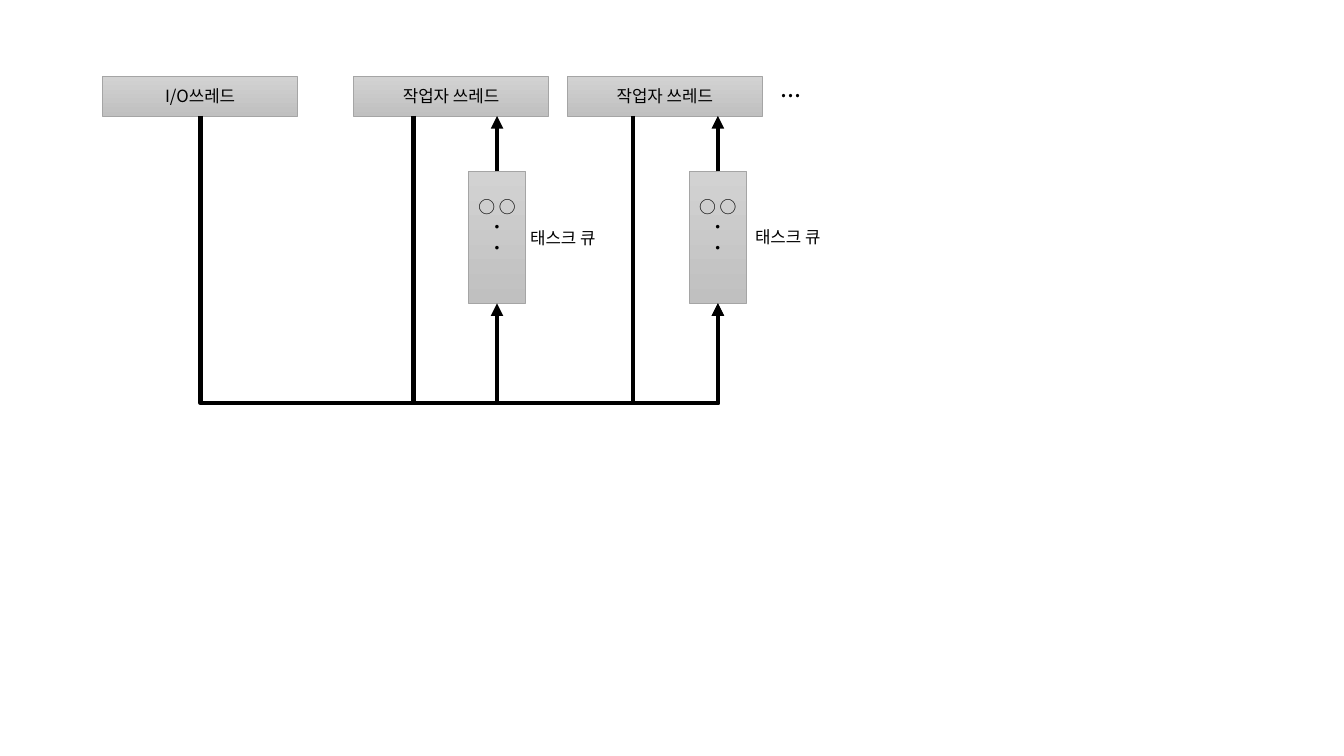
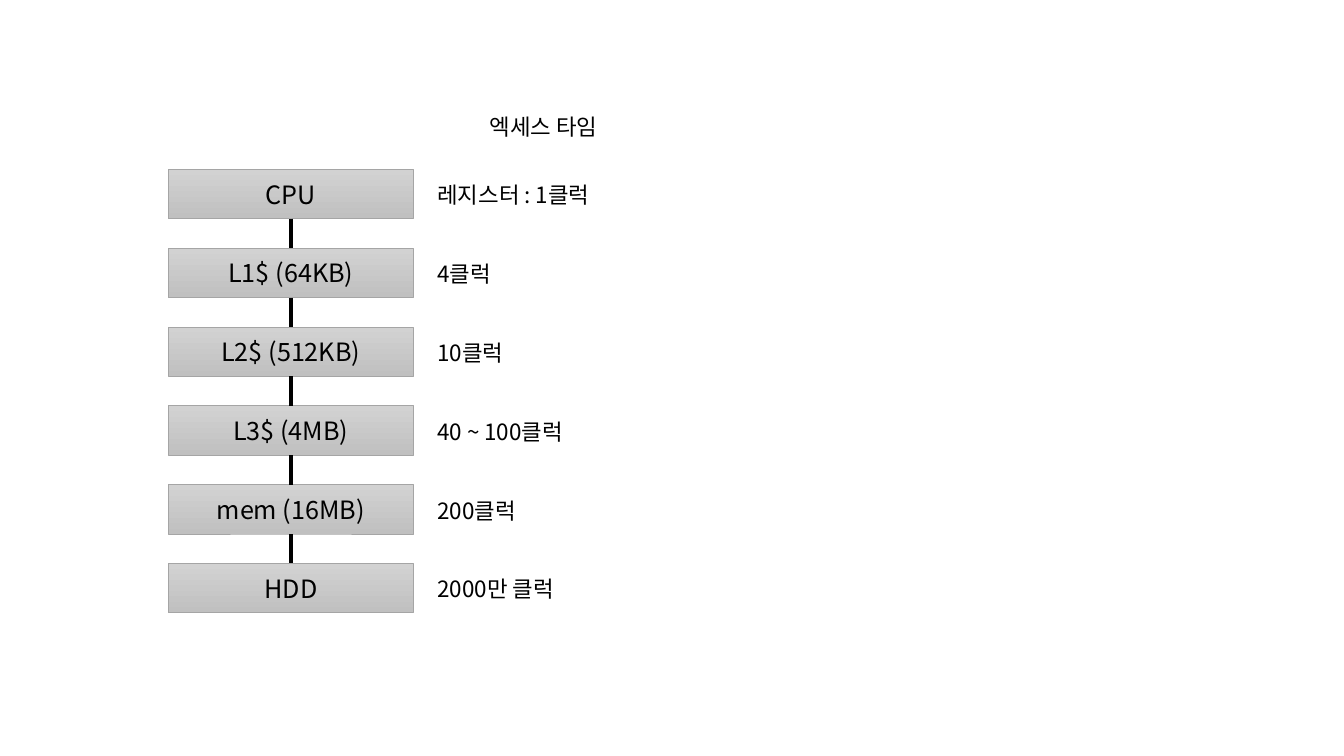
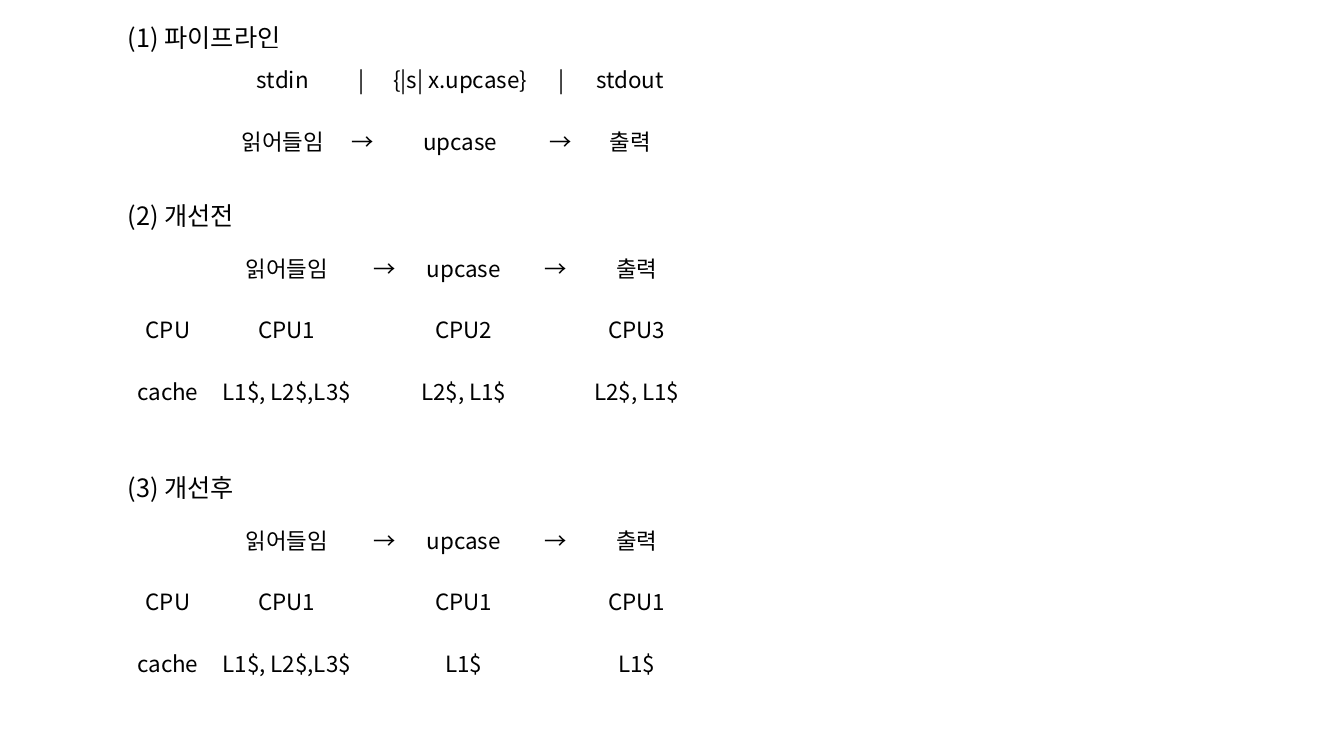
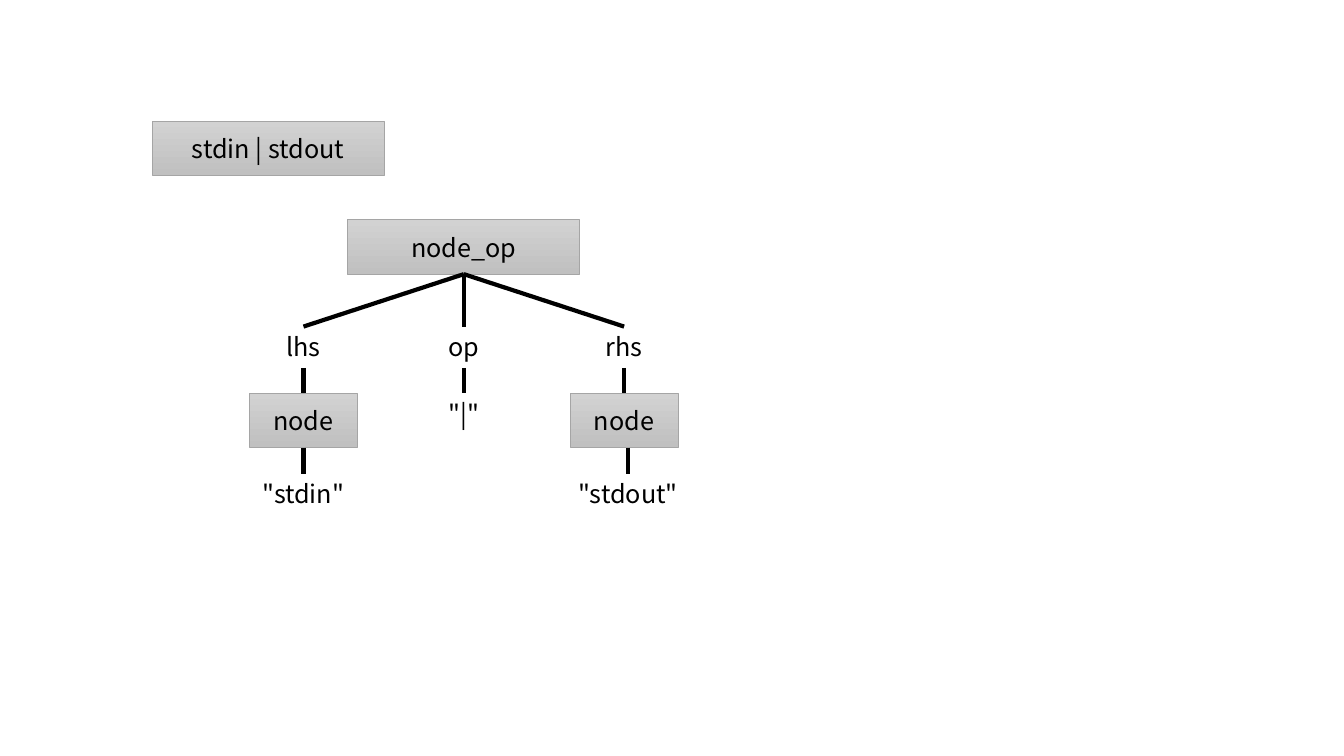
from lxml.etree import SubElement
from pptx import Presentation
from pptx.dml.color import RGBColor
from pptx.enum.shapes import MSO_CONNECTOR as CONN, MSO_SHAPE as SHAPE
from pptx.enum.text import MSO_ANCHOR as ANCHOR, MSO_AUTO_SIZE as AUTO, PP_ALIGN as ALIGN
from pptx.oxml.ns import qn
from pptx.util import Inches, Pt

COLORS = {"text": "000000", "wire": "000000", "edge": "A5A5A5",
          "box_top": "D2D2D2", "box_bottom": "C0C0C0"}
FONT = "Noto Sans CJK KR"
WIRE = 3


def rgb(name):
    """Return a palette colour."""
    return RGBColor.from_string(COLORS[name])


def write(tf, text, size, align):
    """Write the lines of text into a frame in the shared font."""
    tf.text = text
    for p in tf.paragraphs:
        p.alignment = align
        p.font.size, p.font.name = Pt(size), FONT
        p.font.color.rgb = rgb("text")
        props = p._p.get_or_add_pPr().find(qn("a:defRPr"))
        SubElement(props, qn("a:ea")).set("typeface", FONT)


def add_box(slide, left, top, width, height, text, size=18):
    """Add a grey gradient box with centred text."""
    sp = slide.shapes.add_shape(SHAPE.RECTANGLE, *map(Inches, (left, top, width, height)))
    sp.shadow.inherit = False
    sp.fill.gradient()
    sp.fill.gradient_angle = 270
    for stop, name in zip(sp.fill.gradient_stops, ("box_top", "box_bottom")):
        stop.color.rgb = rgb(name)
    sp.line.color.rgb, sp.line.width = rgb("edge"), Pt(0.5)
    sp.text_frame.vertical_anchor = ANCHOR.MIDDLE
    write(sp.text_frame, text, size, ALIGN.CENTER)
    return sp


def add_label(slide, left, top, width, height, text, size=18, align=ALIGN.LEFT):
    """Add a plain text label."""
    tf = slide.shapes.add_textbox(*map(Inches, (left, top, width, height))).text_frame
    tf.word_wrap, tf.auto_size = True, AUTO.SHAPE_TO_FIT_TEXT
    write(tf, text, size, align)


def add_wire(slide, x1, y1, x2, y2, arrow=False, kind=CONN.STRAIGHT):
    """Add a thick line, with an arrowhead at its end if wanted."""
    cxn = slide.shapes.add_connector(kind, *map(Inches, (x1, y1, x2, y2)))
    cxn.line.color.rgb, cxn.line.width = rgb("wire"), Pt(WIRE)
    props = cxn._element.spPr
    if arrow:
        SubElement(props.find(qn("a:ln")), qn("a:tailEnd")).set("type", "triangle")
    SubElement(props, qn("a:effectLst"))
    return cxn


def add_route(slide, x1, y1, x2, y2, bus):
    """Add an arrow that drops to the bus level and rises to its end."""
    mid_x, mid_y, across, down = (x1 + x2) / 2, (y1 + y2) / 2, x2 - x1, y2 - y1
    cxn = add_wire(slide, mid_x - down / 2, mid_y - across / 2,
                   mid_x + down / 2, mid_y + across / 2, True, CONN.ELBOW)
    props = cxn._element.spPr
    xfrm = props.find(qn("a:xfrm"))
    xfrm.set("rot", str(270 * 60000))
    xfrm.set("flipH", "1")
    bend = SubElement(props.find(qn("a:prstGeom")).find(qn("a:avLst")), qn("a:gd"))
    bend.set("name", "adj1")
    bend.set("fmla", f"val {round((bus - y1) / down * 100000)}")


def add_thread(slide, left, top, text):
    """Add a thread box."""
    add_box(slide, left, top, 1.93, 0.39, text, 12)


def add_queue(slide, center, top, thread_bottom, label_left, label_top):
    """Add a task queue with its label and the arrow up to its thread."""
    tf = add_box(slide, center - 0.285, top, 0.57, 1.31, "○ ○\n・\n・", 12).text_frame
    tf.margin_bottom = Inches(0.25)
    add_label(slide, label_left, label_top, 1.37, 0.3, "태스크 큐", 12)
    add_wire(slide, center, top, center, thread_bottom, True)


def threads_slide(slide, left=1.02, top=0.76):
    """Show threads that feed the task queues of the workers."""
    bottom, queue_top, bus = top + 0.39, top + 0.94, top + 3.24
    queue_bottom = queue_top + 1.31
    io, worker1, worker2 = left + 0.97, left + 3.08, left + 5.26
    queue1, queue2 = left + 3.91, left + 6.1
    for offset, text in ((0, "I/O쓰레드"), (2.49, "작업자 쓰레드"), (4.61, "작업자 쓰레드")):
        add_thread(slide, left + offset, top, text)
    add_label(slide, left + 6.62, top - 0.09, 0.61, 0.4, "...")
    add_queue(slide, queue1, queue_top, bottom, left + 4.14, top + 1.45)
    add_queue(slide, queue2, queue_top, bottom, left + 6.37, top + 1.44)
    for start, end in ((io, queue1), (worker1, queue2), (worker2, queue2)):
        add_route(slide, start, bottom, end, queue_bottom, bus)


def memory_slide(slide, left=1.67, top=1.68):
    """Show the memory levels with their access times."""
    levels = [("CPU", "레지스터 : 1클럭"), ("L1$ (64KB)", "4클럭"),
              ("L2$ (512KB)", "10클럭"), ("L3$ (4MB)", "40 ~ 100클럭"),
              ("mem (16MB)", "200클럭"), ("HDD", "2000만 클럭")]
    width, height, pitch = 2.43, 0.49, 3.91 / 5
    center, times = left + width / 2, left + 2.57
    add_label(slide, times, top - 0.61, 2.3, 0.37, "엑세스 타임", 16, ALIGN.CENTER)
    for i, (level, time) in enumerate(levels):
        y = top + i * pitch
        add_box(slide, left, y, width, height, level)
        add_label(slide, times, y + 0.07, 2.3, 0.37, time, 16)
        if i:
            add_wire(slide, center, y - pitch + height, center, y)


def add_grid(slide, left, top, widths, rows):
    """Add a table without fills that holds centred text."""
    height = 0.61
    table = slide.shapes.add_table(len(rows), len(widths), *map(
        Inches, (left, top, sum(widths), height * len(rows)))).table
    table.first_row = table.horz_banding = False
    for column, width in zip(table.columns, widths):
        column.width = Inches(width)
    for r, row in enumerate(rows):
        table.rows[r].height = Inches(height)
        for c, text in enumerate(row):
            cell = table.cell(r, c)
            cell.fill.background()
            cell.vertical_anchor = ANCHOR.MIDDLE
            if text:
                write(cell.text_frame, text, 16, ALIGN.CENTER)


def add_stage(slide, left, top, title, cpus, caches):
    """Add a titled table of the CPU and cache behind each step."""
    def spread(head, values):
        first, second, third = values
        return head, first, "", second, "", third

    add_label(slide, left, top, 3.44, 0.4, title)
    add_grid(slide, left + 0.07, top + 0.41, (0.85, 1.51, 0.34, 1.32, 0.5, 1.11),
             [("", "읽어들임", "→", "upcase", "→", "출력"),
              spread("CPU", cpus), spread("cache", caches)])


def pipeline_slide(slide, left=1.17, top=0.17):
    """Show the pipeline, before and after the improvement."""
    add_label(slide, left, top, 3.44, 0.4, "(1) 파이프라인")
    add_grid(slide, left + 1.05, top + 0.31, (1.17, 0.4, 1.55, 0.45, 0.92),
             [("stdin", "|", "{|s| x.upcase}", "|", "stdout"),
              ("읽어들임", "→", "upcase", "→", "출력")])
    add_stage(slide, left, top + 1.77, "(2) 개선전", ("CPU1", "CPU2", "CPU3"),
              ("L1$, L2$,L3$", "L2$, L1$", "L2$, L1$"))
    add_stage(slide, left, top + 4.47, "(3) 개선후", ("CPU1", "CPU1", "CPU1"),
              ("L1$, L2$,L3$", "L1$", "L1$"))


def add_branch(slide, center, top, name, value, leaf=None, leaf_shift=0):
    """Add a child of the tree: its name, then a text or a node with a leaf."""
    def centred(x, y, text):
        add_label(slide, x - 0.685, y, 1.37, 0.4, text, align=ALIGN.CENTER)

    centred(center, top, name)
    value_top = top + 0.66
    add_wire(slide, center, top + 0.41, center, value_top)
    if leaf is None:
        centred(center, value_top, value)
        return
    add_box(slide, center - 0.535, value_top, 1.07, 0.54, value)
    x, bottom, leaf_top = center + leaf_shift, value_top + 0.54, value_top + 0.8
    add_wire(slide, x, bottom, x, leaf_top)
    centred(x, leaf_top, leaf)


def tree_slide(slide, left=1.51, top=1.2):
    """Show the syntax tree of a pipe expression."""
    width, height, gap = 2.3, 0.54, 1.59
    root_left, root_top = left + 1.94, top + 0.98
    center, root_bottom, names = root_left + width / 2, root_top + height, top + 2.04
    add_box(slide, left, top, width, height, "stdin | stdout")
    add_box(slide, root_left, root_top, width, height, "node_op")
    branches = [("lhs", "node", '"stdin"'), ("op", '"|"'), ("rhs", "node", '"stdout"', 0.04)]
    for i, branch in enumerate(branches):
        x = center + (i - 1) * gap
        add_wire(slide, center, root_bottom, x, names)
        add_branch(slide, x, names, *branch)


def main():
    """Build the deck."""
    prs = Presentation()
    prs.slide_width, prs.slide_height = Inches(13.33), Inches(7.5)
    for build in (threads_slide, memory_slide, pipeline_slide, tree_slide):
        build(prs.slides.add_slide(prs.slide_layouts[6]))
    prs.save("out.pptx")


main()
